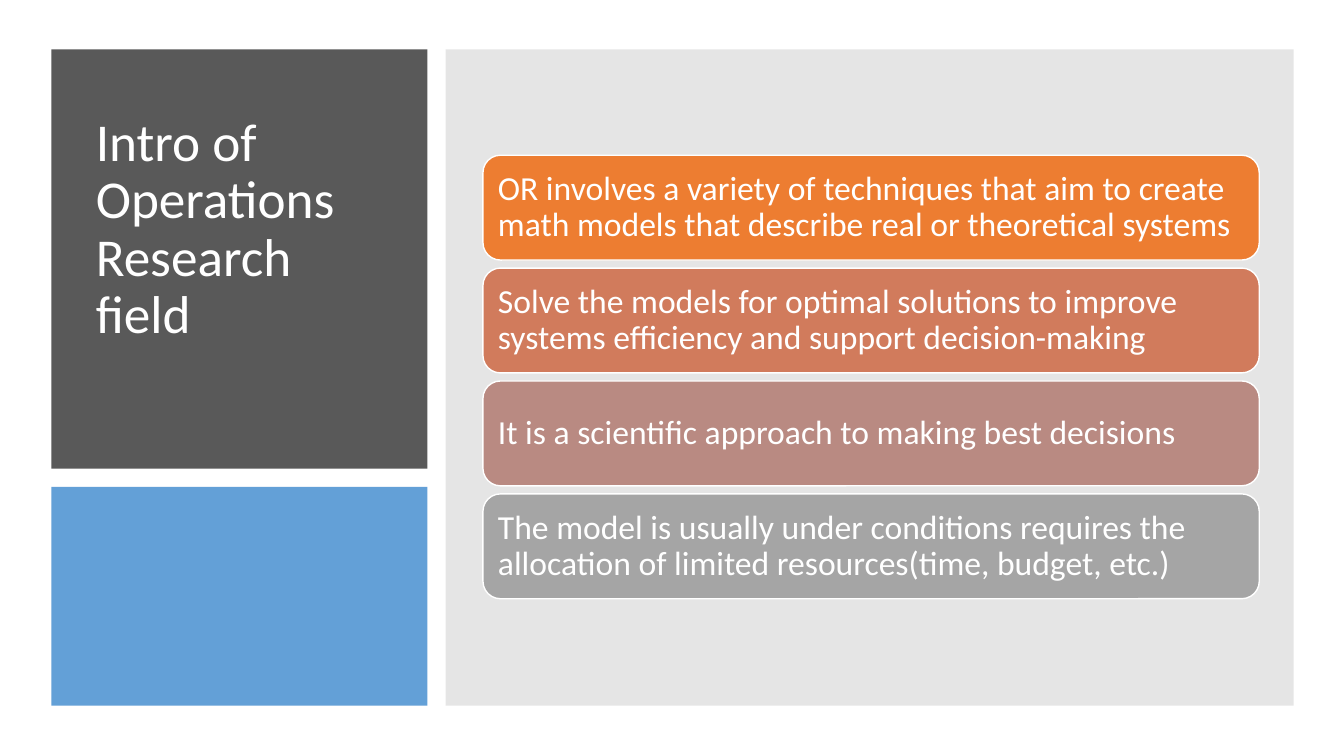
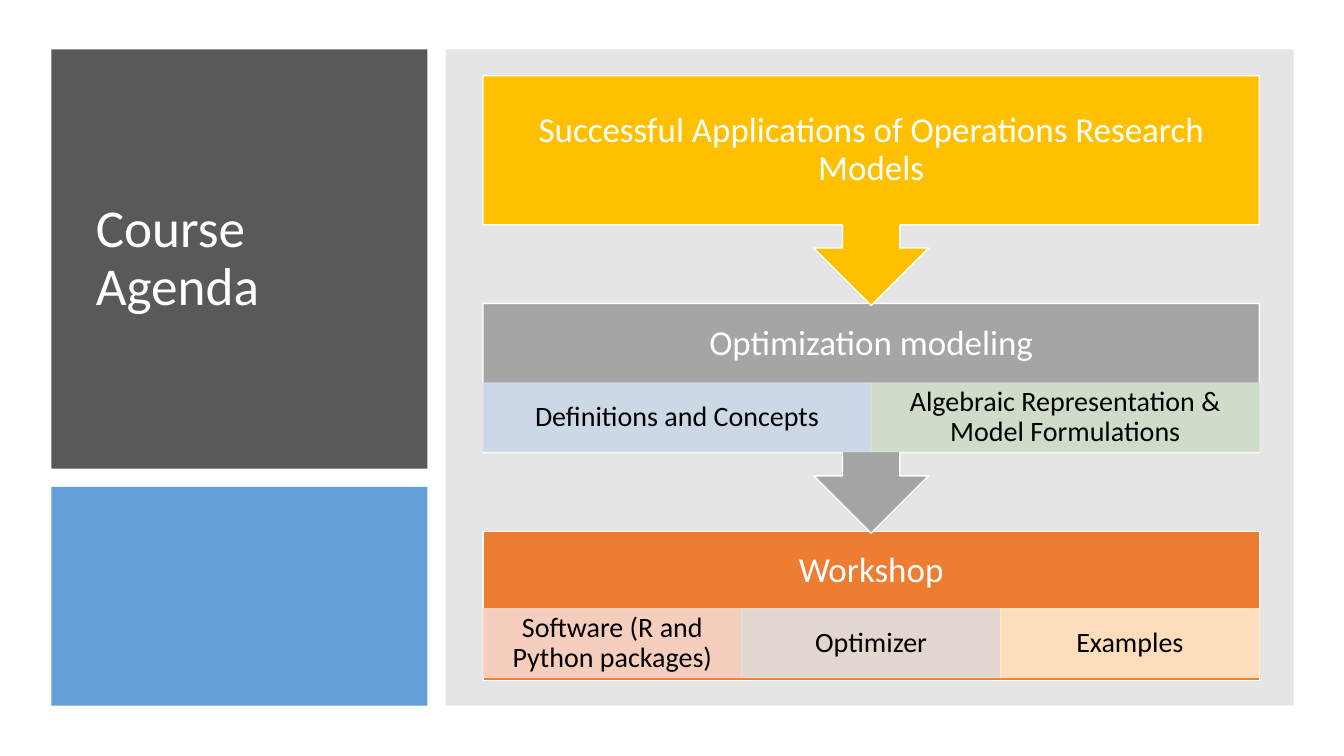
from lxml import etree
from pptx import Presentation
from pptx.dml.color import RGBColor
from pptx.enum.shapes import MSO_SHAPE
from pptx.enum.text import MSO_ANCHOR, MSO_AUTO_SIZE, PP_ALIGN
from pptx.oxml.ns import qn
from pptx.util import Inches, Pt

COLORS = {
    "white": "FFFFFF", "black": "000000", "charcoal": "595959",
    "blue": "5B9BD5", "mid_gray": "808080", "orange": "ED7D31",
    "clay": "D17B5C", "rose": "B98A82", "gray": "A5A5A5", "gold": "FFC000",
    "pale_red": "F8D7CE", "pale_gray": "E1E1E1", "pale_orange": "FFE8CC",
    "pale_blue": "D2DEEF", "pale_green": "D5E3CF",
}
FONT = "Calibri"
TITLE_ONLY = 5

CONTENT_LEFT, CONTENT_WIDTH = 4.79, 7.7
CARD_TOP, CARD_HEIGHT, CARD_PITCH = 1.54, 1.04, 1.12
STEP_TOP, STEP_HEIGHT, STEP_PITCH = 0.75, 1.48, 2.26
CALLOUT_HEIGHT, HEADING_HEIGHT, CELL_HEIGHT = 2.28, 0.8, 0.68


def rgb(name):
    return RGBColor.from_string(COLORS[name])


class Deck:
    def __init__(self):
        self.presentation = Presentation()
        self.presentation.slide_width = Inches(13.33)
        self.presentation.slide_height = Inches(7.5)
        self.slide = None

    def add_slide(self, title, bottom_inset=0.05):
        layout = self.presentation.slide_layouts[TITLE_ONLY]
        self.slide = self.presentation.slides.add_slide(layout)
        title_panel = self.shape((0.51, 0.49, 3.73, 4.16), "charcoal")
        self.shape((0.51, 4.83, 3.73, 2.17), "blue", opacity=95)
        self.shape((4.42, 0.49, 8.41, 6.51), "mid_gray", opacity=20)

        placeholder = self.slide.shapes.title
        title_panel.element.addnext(placeholder.element)
        placeholder.left, placeholder.top = Inches(0.85), Inches(0.8)
        placeholder.width, placeholder.height = Inches(3.11), Inches(3.54)
        self.set_text(placeholder, title, 38, "white", (0.1, 0.05, 0.1, bottom_inset))

    def shape(self, box, fill, line=None, opacity=100, kind=MSO_SHAPE.RECTANGLE):
        shape = self.slide.shapes.add_shape(kind, *map(Inches, box))
        shape.shadow.inherit = False
        shape.fill.solid()
        shape.fill.fore_color.rgb = rgb(fill)
        if line:
            shape.line.color.rgb = rgb(line)
            shape.line.width = Pt(1)
        else:
            shape.line.fill.background()
        if opacity < 100:
            for color in shape.element.spPr.iter(qn("a:srgbClr")):
                etree.SubElement(color, qn("a:alpha"), val=str(opacity * 1000))
        return shape

    def set_text(self, shape, text, size, color, insets, align=PP_ALIGN.LEFT):
        """Fill a shape with one styled run; insets are left, top, right, bottom."""
        frame = shape.text_frame
        frame.word_wrap = True
        frame.auto_size = MSO_AUTO_SIZE.NONE
        frame.vertical_anchor = MSO_ANCHOR.MIDDLE
        (frame.margin_left, frame.margin_top,
         frame.margin_right, frame.margin_bottom) = map(Inches, insets)
        paragraph = frame.paragraphs[0]
        paragraph.alignment = align
        paragraph.line_spacing = 0.9
        run = paragraph.add_run()
        run.text = text
        run.font.name = FONT
        run.font.size = Pt(size)
        run.font.color.rgb = rgb(color)

    def card(self, index, text, fill):
        top = CARD_TOP + index * CARD_PITCH
        card = self.shape((CONTENT_LEFT, top, CONTENT_WIDTH, CARD_HEIGHT), fill,
                          "white", kind=MSO_SHAPE.ROUNDED_RECTANGLE)
        self.set_text(card, text, 24, "white", (0.1,) * 4)

    def heading(self, top, height, text):
        box = self.slide.shapes.add_textbox(
            *map(Inches, (CONTENT_LEFT, top, CONTENT_WIDTH, height)))
        self.set_text(box, text, 25, "white", (0.19,) * 4, PP_ALIGN.CENTER)

    def cells(self, top, topics):
        """Split the content width evenly between the topics."""
        width = CONTENT_WIDTH / len(topics)
        for index, (text, fill) in enumerate(topics):
            box = (CONTENT_LEFT + index * width, top, width, CELL_HEIGHT)
            cell = self.shape(box, fill, fill, opacity=90)
            self.set_text(cell, text, 20, "black", (0.16, 0.03, 0.16, 0.03),
                          PP_ALIGN.CENTER)

    def step(self, index, text, fill, topics, cell_offset, is_last):
        top = STEP_TOP + index * STEP_PITCH
        if is_last:
            self.shape((CONTENT_LEFT, top, CONTENT_WIDTH, STEP_HEIGHT), fill, "white")
        else:
            callout = self.shape((CONTENT_LEFT, top, CONTENT_WIDTH, CALLOUT_HEIGHT),
                                 fill, "white", kind=MSO_SHAPE.UP_ARROW_CALLOUT)
            callout.rotation = 180
        self.heading(top, HEADING_HEIGHT if topics else STEP_HEIGHT, text)
        if topics:
            self.cells(top + cell_offset, topics)


def build_intro(deck):
    # The larger bottom inset lifts the title by half a line
    deck.add_slide("Intro of Operations Research field", bottom_inset=0.62)
    cards = [
        ("OR involves a variety of techniques that aim to create math models "
         "that describe real or theoretical systems", "orange"),
        ("Solve the models for optimal solutions to improve systems efficiency "
         "and support decision-making", "clay"),
        ("It is a scientific approach to making best decisions", "rose"),
        ("The model is usually under conditions requires the allocation of "
         "limited resources(time, budget, etc.)", "gray"),
    ]
    for index, (text, fill) in enumerate(cards):
        deck.card(index, text, fill)


def build_agenda(deck):
    deck.add_slide("Course Agenda")
    steps = [
        ("Successful Applications of Operations Research Models", "gold", [], 0),
        ("Optimization modeling", "gray",
         [("Definitions and Concepts", "pale_blue"),
          ("Algebraic Representation & Model Formulations", "pale_green")], 0.79),
        ("Workshop", "orange",
         [("Software (R and Python packages)", "pale_red"),
          ("Optimizer", "pale_gray"),
          ("Examples", "pale_orange")], 0.77),
    ]
    # Last step first, so that each arrow tip lies over the step below it
    last = len(steps) - 1
    for index in range(last, -1, -1):
        deck.step(index, *steps[index], is_last=index == last)


def main():
    deck = Deck()
    build_intro(deck)
    build_agenda(deck)
    deck.presentation.save("out.pptx")


if __name__ == "__main__":
    main()
